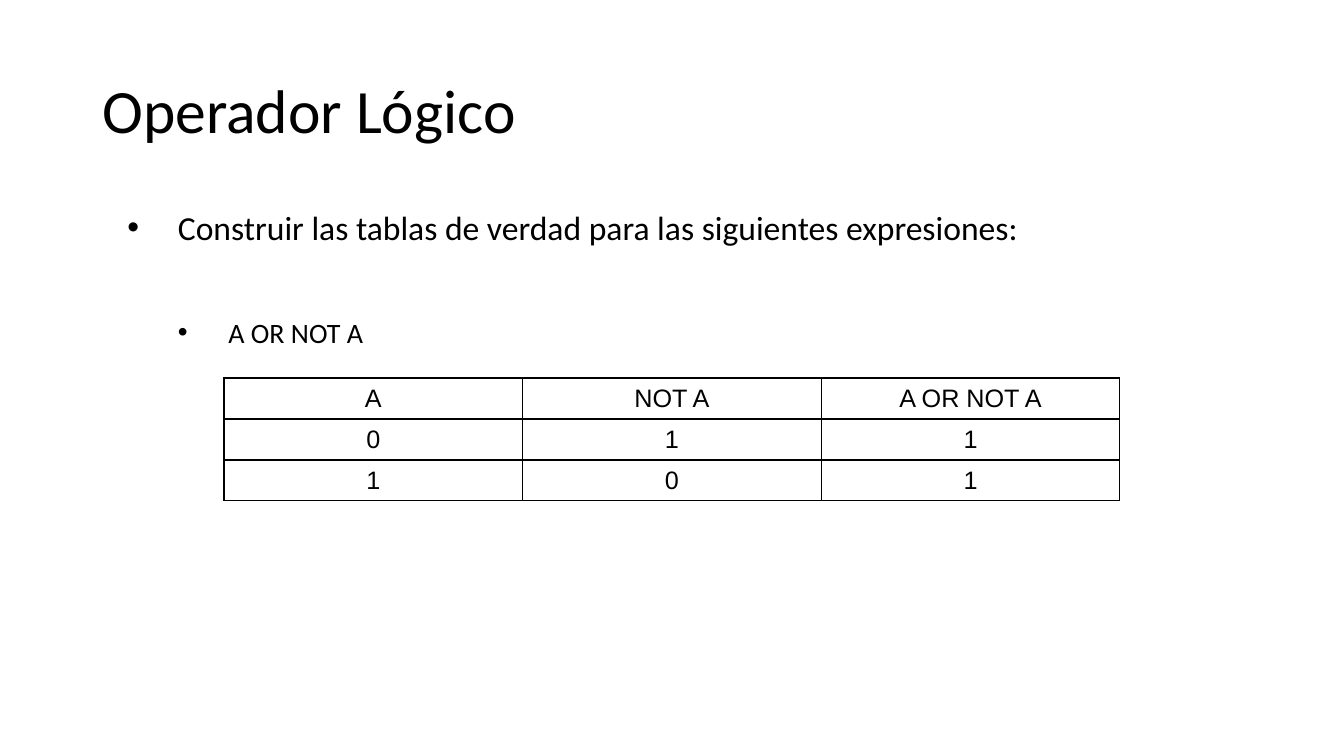
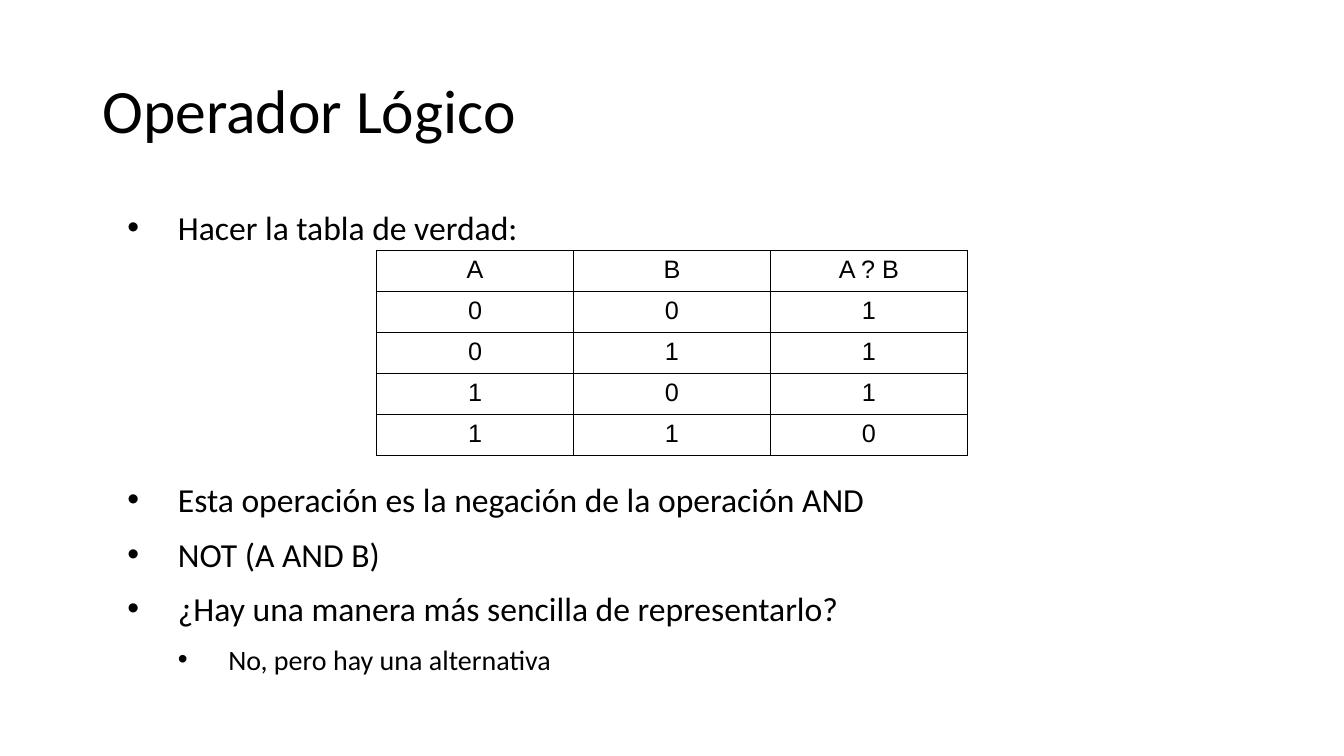
"""Build two slides on truth tables for logical operators."""
from lxml.etree import SubElement
from pptx import Presentation
from pptx.dml.color import RGBColor
from pptx.enum.text import MSO_ANCHOR, PP_ALIGN
from pptx.oxml.ns import qn
from pptx.util import Pt

INK = RGBColor(0x00, 0x00, 0x00)
TEXT_FONT, TABLE_FONT = "Calibri", "Arial"
SLIDE_SIZE = (960, 540)
TITLE_BOX = (66, 28.8, 828, 104.4)
BODY_BOX = (66, 144, 828, 342.6)
ROW_HEIGHT = 29.28
GAP, INDENT = 10, 36
TEXT_SIZES = (24, 20)
LINE_HEIGHTS = (28.9, 24)

SLIDES = [
    {
        "title": "Operador Lógico",
        "bullets": [
            (0, 0, "Construir las tablas de verdad para las siguientes expresiones:"),
            (1, 1, "A OR NOT A"),
        ],
        "truth_table": [("A", "NOT A", "A OR NOT A"), "011", "101"],
        "top": 270,
        "column_width": 213.3,
        "anchor": MSO_ANCHOR.MIDDLE,
    },
    {
        "title": "Operador Lógico",
        "bullets": [
            (0, 0, "Hacer la tabla de verdad:"),
            (0, 4, "Esta operación es la negación de la operación AND"),
            (0, 0, "NOT (A AND B)"),
            (0, 0, "¿Hay una manera más sencilla de representarlo?"),
            (1, 0, "No, pero hay una alternativa"),
        ],
        "truth_table": [("A", "B", "A ? B"), "001", "011", "101", "110"],
        "top": 179,
        "column_width": 140.7,
        "anchor": MSO_ANCHOR.TOP,
    },
]


def set_font(paragraph, name, size):
    for run in paragraph.runs:
        run.font.name = name
        run.font.size = Pt(size)
        run.font.color.rgb = INK


def add_title(slide, text):
    title = slide.shapes.title
    title.left, title.top, title.width, title.height = map(Pt, TITLE_BOX)
    title.text_frame.text = text
    title.text_frame.vertical_anchor = MSO_ANCHOR.MIDDLE
    paragraph = title.text_frame.paragraphs[0]
    paragraph.alignment = PP_ALIGN.LEFT
    paragraph.line_spacing = 0.9
    set_font(paragraph, TEXT_FONT, 44)


def add_bullets(slide, bullets):
    frame = slide.shapes.add_textbox(*map(Pt, BODY_BOX)).text_frame
    frame.word_wrap = True
    for index, (level, skipped_lines, text) in enumerate(bullets):
        paragraph = frame.add_paragraph() if index else frame.paragraphs[0]
        paragraph.text = text
        paragraph.level = level
        paragraph.line_spacing = Pt(LINE_HEIGHTS[level])
        if index:
            paragraph.space_before = Pt(GAP + skipped_lines * (LINE_HEIGHTS[0] + GAP))
        properties = paragraph._p.get_or_add_pPr()
        properties.set("marL", str(Pt(54 + INDENT * level)))
        properties.set("indent", str(-Pt(INDENT)))
        SubElement(properties, qn("a:buFont"), typeface="Arial")
        SubElement(properties, qn("a:buChar"), char="•")
        set_font(paragraph, TEXT_FONT, TEXT_SIZES[level])


def add_borders(cell):
    properties = cell._tc.get_or_add_tcPr()
    for side in ("lnL", "lnR", "lnT", "lnB"):
        border = SubElement(properties, qn(f"a:{side}"), w=str(Pt(1)))
        fill = SubElement(border, qn("a:solidFill"))
        SubElement(fill, qn("a:srgbClr"), val=str(INK))


def add_truth_table(slide, rows, top, column_width, anchor):
    columns = len(rows[0])
    width, height = columns * column_width, len(rows) * ROW_HEIGHT
    left = (SLIDE_SIZE[0] - width) / 2
    table = slide.shapes.add_table(
        len(rows), columns, Pt(left), Pt(top), Pt(width), Pt(height)
    ).table
    table.first_row = table.horz_banding = False
    for column in table.columns:
        column.width = Pt(column_width)
    for row, values in zip(table.rows, rows):
        row.height = Pt(ROW_HEIGHT)
        for cell, value in zip(row.cells, values):
            cell.text_frame.text = value
            cell.vertical_anchor = anchor
            add_borders(cell)
            cell.fill.background()
            paragraph = cell.text_frame.paragraphs[0]
            paragraph.alignment = PP_ALIGN.CENTER
            set_font(paragraph, TABLE_FONT, 18)


def main():
    deck = Presentation()
    deck.slide_width, deck.slide_height = map(Pt, SLIDE_SIZE)
    for content in SLIDES:
        slide = deck.slides.add_slide(deck.slide_layouts.get_by_name("Title Only"))
        add_title(slide, content["title"])
        add_bullets(slide, content["bullets"])
        add_truth_table(slide, content["truth_table"], content["top"],
                        content["column_width"], content["anchor"])
    deck.save("out.pptx")


if __name__ == "__main__":
    main()
